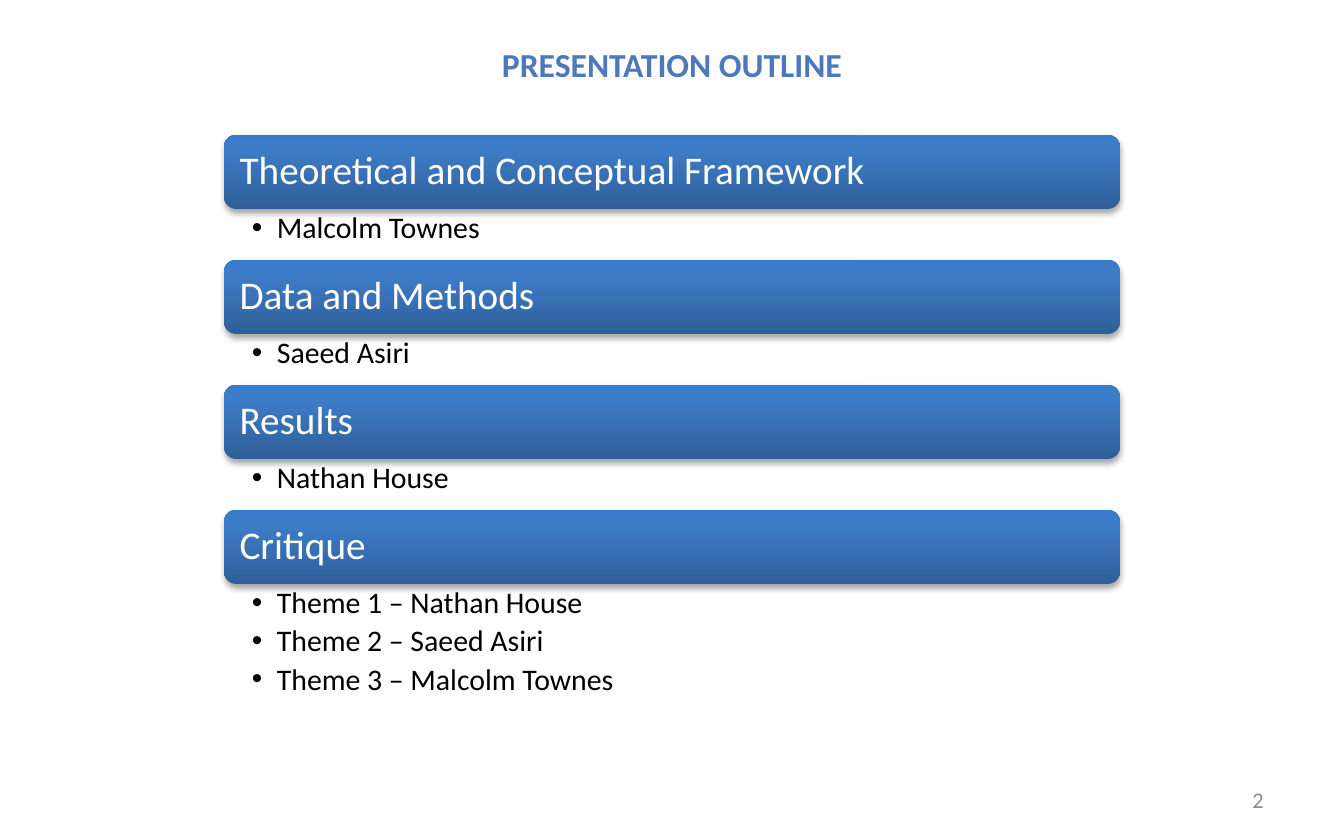
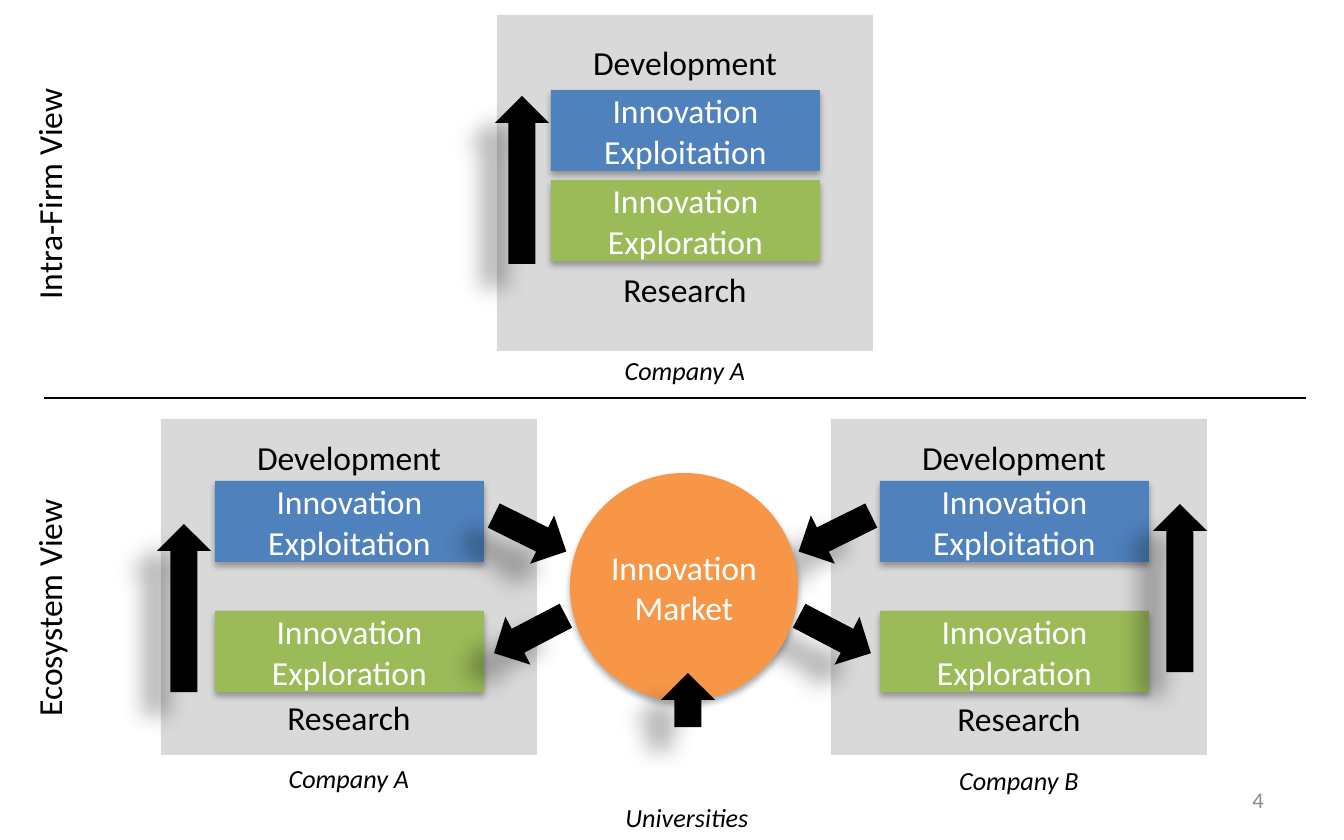
from lxml import etree
from pptx import Presentation
from pptx import util as u
from pptx.dml.color import RGBColor
from pptx.enum import shapes, text
from pptx.oxml.ns import qn

EMU_PER_PIXEL = 914400 / 134.4
FONT = "Calibri"
BLACK, WHITE, GRAY = "000000", "FFFFFF", "8C8C8C"
PANEL, BLUE, GREEN, ORANGE = "D9D9D9", "4F81BD", "9BBB59", "F79646"
TITLE_BLUE = "4D79BC"
BAR_STOPS = [(0, "2F5F99"), (80, "3D7CC7"), (100, "3A7CCB")]

# Shadows: opacity %, blur pt, distance pt, direction in degrees
BAR_SHADOW = (35, 3.1, 1.8, 90)
BOX_SHADOW = (32, 3.5, 2.2, 90)
ARROW_SHADOW = (28, 11.8, 19.7, 141)

KIND = shapes.MSO_SHAPE
ALIGN = text.PP_ALIGN
MIDDLE = text.MSO_ANCHOR.MIDDLE
TOP = text.MSO_ANCHOR.TOP

OUTLINE = [
    ("Theoretical and Conceptual Framework", ["Malcolm Townes"]),
    ("Data and Methods", ["Saeed Asiri"]),
    ("Results", ["Nathan House"]),
    ("Critique", ["Theme 1 – Nathan House", "Theme 2 – Saeed Asiri",
                  "Theme 3 – Malcolm Townes"]),
]


def px(length):
    """Turn picture pixels into EMU."""
    return u.Emu(round(length * EMU_PER_PIXEL))


def rgb(code):
    """Turn a hex string into a colour."""
    return RGBColor.from_string(code)


def child(parent, tag, **attributes):
    """Append a DrawingML element with the given attributes."""
    node = etree.SubElement(parent, qn(tag))
    for name, value in attributes.items():
        node.set(name, str(value))
    return node


def write(shape, lines, size, color=BLACK, align=ALIGN.CENTER, anchor=MIDDLE,
          margins=None, bold=False, italic=False, spacing=None, after=None):
    """Fill a shape with one formatted paragraph per line."""
    frame = shape.text_frame
    frame.word_wrap = True
    frame.vertical_anchor = anchor
    if margins:
        (frame.margin_left, frame.margin_top,
         frame.margin_right, frame.margin_bottom) = map(px, margins)
    for index, line in enumerate(lines):
        para = frame.add_paragraph() if index else frame.paragraphs[0]
        para.alignment = align
        if spacing:
            para.line_spacing = spacing
        if after:
            para.space_after = u.Pt(after)
        span = para.add_run()
        span.text = line
        font = span.font
        font.name, font.size = FONT, u.Pt(size)
        font.bold, font.italic = bold, italic
        font.color.rgb = rgb(color)


def add_shadow(shape, opacity, blur, distance, direction):
    """Give a shape an outer shadow that ignores its rotation."""
    shape.shadow.inherit = False
    effects = shape.element.spPr.find(qn("a:effectLst"))
    outer = child(effects, "a:outerShdw", blurRad=u.Pt(blur), dist=u.Pt(distance),
                  dir=direction * 60000, algn="ctr", rotWithShape=0)
    tint = child(outer, "a:srgbClr", val=BLACK)
    child(tint, "a:alpha", val=opacity * 1000)


def add_block(page, kind, left, top, width, height, fill, shadow=None):
    """Draw a borderless preset shape."""
    shape = page.shapes.add_shape(kind, px(left), px(top), px(width), px(height))
    shape.fill.solid()
    shape.fill.fore_color.rgb = rgb(fill)
    shape.line.fill.background()
    shape.shadow.inherit = False
    if shadow:
        add_shadow(shape, *shadow)
    return shape


def add_text(page, left, top, width, height, lines, size, **style):
    """Add a text box."""
    box = page.shapes.add_textbox(px(left), px(top), px(width), px(height))
    write(box, lines, size, **style)
    return box


def add_label(page, words, center, top, width, rotation=0):
    """Add an 18 pt label centred on a column."""
    box = add_text(page, center - width / 2, top, width, 54, [words], 18, anchor=TOP)
    box.rotation = rotation


def add_caption(page, words, center, top):
    """Add an italic caption centred on a column."""
    add_text(page, center - 165, top, 330, 46, [words], 14, anchor=TOP, italic=True)


def add_arrow(page, left, top, height, rotation=0):
    """Draw a black block arrow."""
    arrow = add_block(page, KIND.UP_ARROW, left, top, 54, height, BLACK, ARROW_SHADOW)
    arrow.rotation = rotation


def add_page_number(page, number):
    """Add the gray number at the lower right."""
    add_text(page, 964, 778, 313, 44, [number], 12, color=GRAY, align=ALIGN.RIGHT)


def add_title(page, words):
    """Place and format the title placeholder."""
    title = page.shapes.title
    title.left, title.top, title.width, title.height = map(px, (413, 37, 518, 54))
    write(title, [words], 18, color=TITLE_BLUE, bold=True)


def add_bar(page, top, words):
    """Draw a gradient heading bar."""
    bar = add_block(page, KIND.ROUNDED_RECTANGLE, 224, top, 896, 74, BLUE, BAR_SHADOW)
    bar.fill.gradient()
    bar.fill.gradient_angle = 90
    stops = bar.element.spPr.find(".//" + qn("a:gsLst"))
    for stop in list(stops):
        stops.remove(stop)
    for position, color in BAR_STOPS:
        child(child(stops, "a:gs", pos=position * 1000), "a:srgbClr", val=color)
    write(bar, [words], 21, color=WHITE, align=ALIGN.LEFT,
          margins=(12, 12, 12, 12), spacing=0.9)


def add_bullets(page, top, lines):
    """Add the bulleted names below a bar."""
    height = 51 + 35 * (len(lines) - 1)
    box = add_text(page, 224, top, 896, height, lines, 16, align=ALIGN.LEFT, anchor=TOP,
                   margins=(28, 4, 21, 4), spacing=0.9, after=3.2)
    for para in box.element.iter(qn("a:p")):
        props = para.get_or_add_pPr()
        props.set("lvl", "1")
        props.set("marL", str(px(25)))
        props.set("indent", str(-px(25)))
        child(props, "a:buFont", typeface="Arial")
        child(props, "a:buChar", char="•")


def add_company(page, name, panel, boxes_left, box_tops, label_tops, arrow, caption_top):
    """Draw a company panel with its two activities and upward arrow."""
    left, top = panel
    center = left + 188
    add_block(page, KIND.RECTANGLE, left, top, 376, 336, PANEL)
    activities = [("Innovation Exploitation", BLUE), ("Innovation Exploration", GREEN)]
    for (words, fill), box_top in zip(activities, box_tops):
        box = add_block(page, KIND.RECTANGLE, boxes_left, box_top, 269, 81, fill, BOX_SHADOW)
        write(box, [words], 18, color=WHITE)
    add_label(page, "Development", boxes_left + 134, label_tops[0], 228)
    add_label(page, "Research", center, label_tops[1], 175)
    add_arrow(page, *arrow, 168)
    add_caption(page, name, center, caption_top)


def build_outline(deck):
    """Build the outline page."""
    page = deck.slides.add_slide(deck.slide_layouts[5])
    add_title(page, "PRESENTATION OUTLINE")
    for index, (heading, names) in enumerate(OUTLINE):
        top = 135 + 125 * index
        add_bar(page, top, heading)
        add_bullets(page, top + 74, names)
    add_page_number(page, "2")


def build_views(deck):
    """Build the page that compares the intra-firm and ecosystem views."""
    page = deck.slides.add_slide(deck.slide_layouts[6])
    add_company(page, "Company A", (161, 419), 215, (481, 611), (430, 690), (157, 524), 756)
    add_company(page, "Company B", (831, 419), 880, (481, 611), (430, 691), (1153, 504), 758)
    add_company(page, "Company A", (497, 15), 551, (90, 180), (35, 262), (495, 96), 348)

    divider = page.shapes.add_connector(shapes.MSO_CONNECTOR.STRAIGHT,
                                        px(44), px(398), px(1306), px(398))
    divider.line.color.rgb = rgb(BLACK)
    divider.line.width = u.Pt(1.5)
    child(divider.element.spPr, "a:effectLst")

    add_label(page, "Intra-Firm View", 49, 167, 262, rotation=270)
    add_label(page, "Ecosystem View", 49, 581, 262, rotation=270)

    for left, top, rotation in [(503, 493, 116.4), (503, 594, 242.4),
                                (808, 493, 243.6), (808, 594, 117.6)]:
        add_arrow(page, left, top, 81, rotation)
    market = add_block(page, KIND.OVAL, 570, 473, 228, 228, ORANGE, BOX_SHADOW)
    write(market, ["Innovation Market"], 18, color=WHITE, margins=(7, 7, 7, 7))
    add_caption(page, "Universities", 687, 795)
    add_arrow(page, 661, 673, 54)
    add_page_number(page, "4")


def main():
    """Build and save the deck."""
    deck = Presentation()
    deck.slide_width, deck.slide_height = px(1344), px(840)
    build_outline(deck)
    build_views(deck)
    deck.save("out.pptx")


main()
